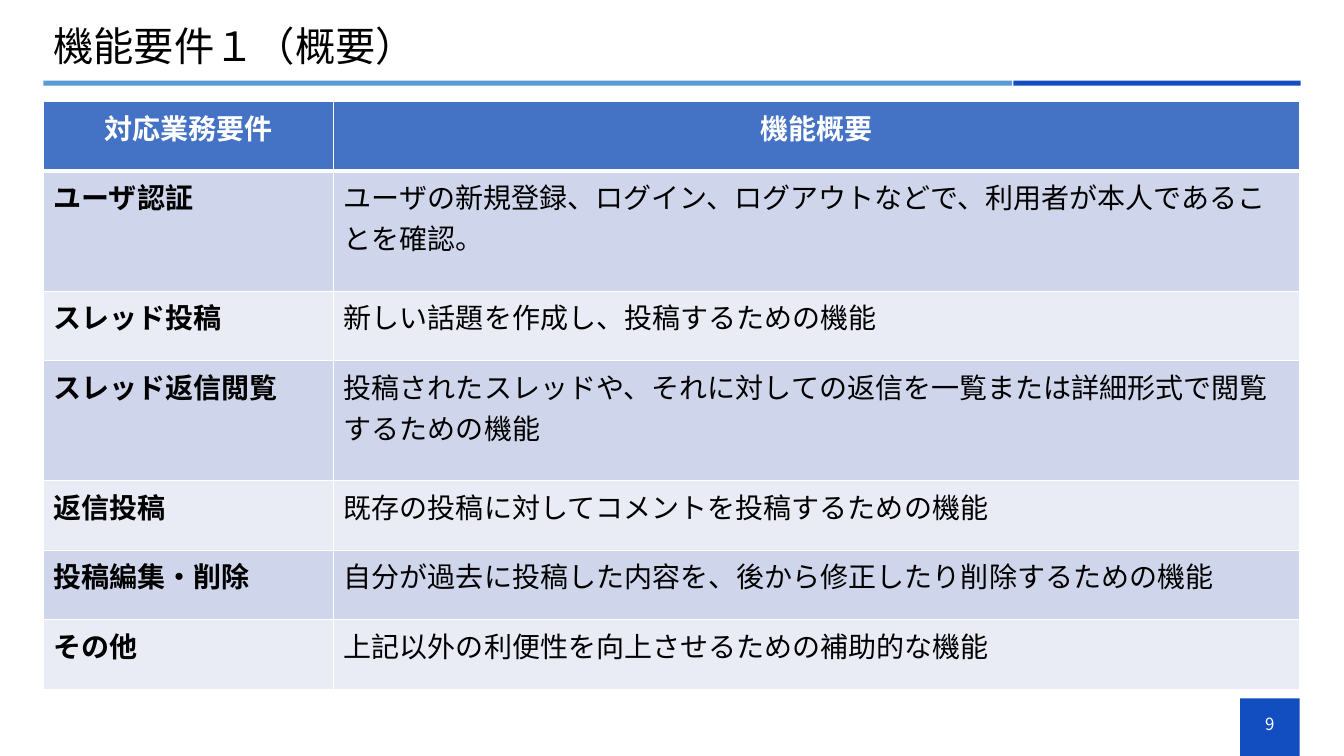
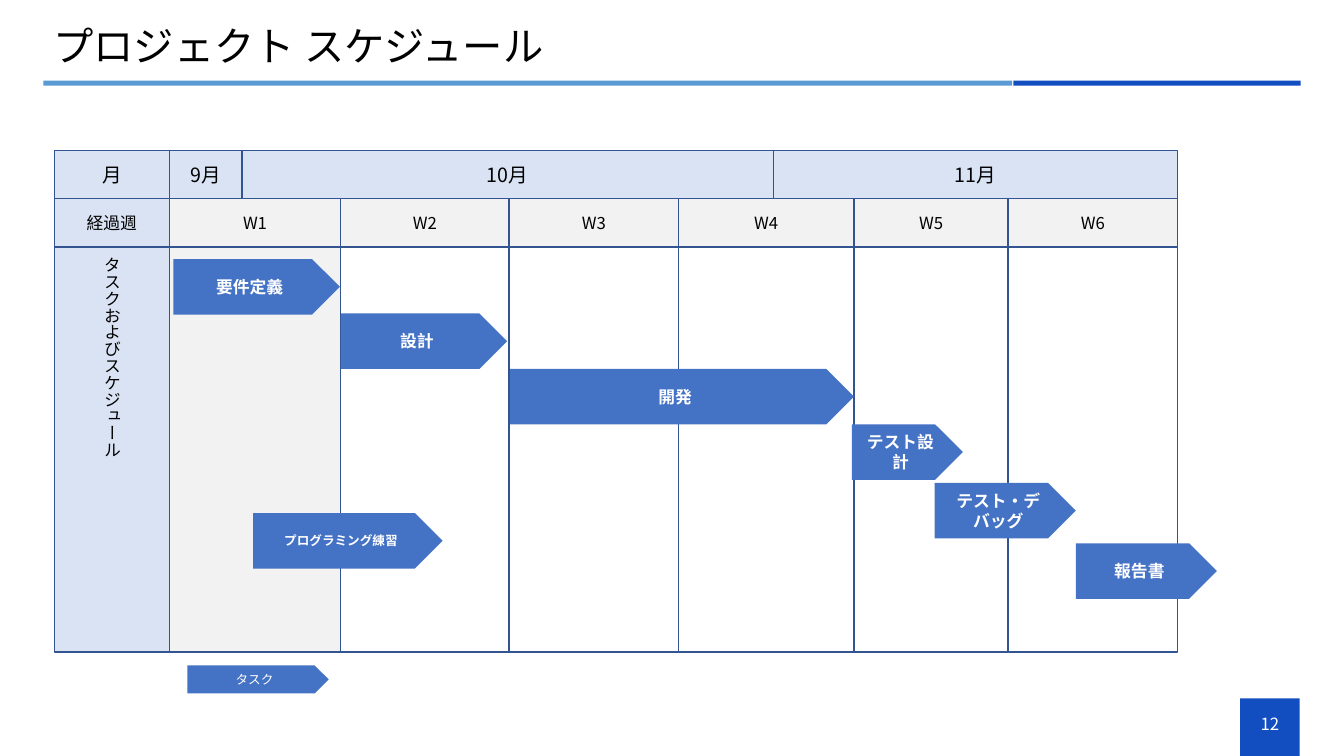
from dataclasses import dataclass
from itertools import pairwise

from lxml.etree import SubElement
from pptx import Presentation
from pptx.dml.color import RGBColor
from pptx.enum.shapes import MSO_SHAPE as Preset
from pptx.enum.text import MSO_ANCHOR as Anchor, PP_ALIGN as Align
from pptx.oxml.ns import qn
from pptx.shapes.autoshape import Shape
from pptx.slide import Slide
from pptx.table import _Cell as Cell
from pptx.text.text import TextFrame
from pptx.util import Inches, Pt

FONT = "Noto Sans CJK JP"
COLORS = {
    "black": "000000",
    "white": "FFFFFF",
    "accent": "134EC1",
    "sky": "5B9BD5",
    "blue": "4472C4",
    "outline": "325491",
    "pale": "DAE3F3",
    "gray": "F2F2F2",
    "odd_row": "CFD5EA",
    "even_row": "E9EBF5",
}
LEFT, WIDTH = 0.43, 12.46


@dataclass(frozen=True)
class Box:
    left: float
    top: float
    width: float
    height: float

    def lengths(self) -> tuple[Inches, ...]:
        return tuple(Inches(n) for n in (self.left, self.top, self.width, self.height))


@dataclass(frozen=True)
class Band:
    box: Box
    color: str


@dataclass(frozen=True)
class Requirement:
    name: str
    summary: str
    height: float = 0.69


@dataclass(frozen=True)
class Task:
    label: str
    left: float
    top: float
    width: float
    height: float = 0.55
    size: float = 12
    bold: bool = True


BANDS = [
    Band(Box(12.3, 6.93, 0.59, 0.57), "accent"),
    Band(Box(LEFT, 0.8, 9.61, 0.05), "sky"),
    Band(Box(10.05, 0.8, 2.85, 0.05), "accent"),
]

REQUIREMENTS = [
    Requirement("対応業務要件", "機能概要"),
    Requirement(
        "ユーザ認証",
        "ユーザの新規登録、ログイン、ログアウトなどで、利用者が本人であることを確認。",
        1.19,
    ),
    Requirement("スレッド投稿", "新しい話題を作成し、投稿するための機能"),
    Requirement(
        "スレッド返信閲覧",
        "投稿されたスレッドや、それに対しての返信を一覧または詳細形式で閲覧するための機能",
        1.19,
    ),
    Requirement("返信投稿", "既存の投稿に対してコメントを投稿するための機能"),
    Requirement("投稿編集・削除", "自分が過去に投稿した内容を、後から修正したり削除するための機能"),
    Requirement("その他", "上記以外の利便性を向上させるための補助的な機能"),
]

MONTHS = ["月", "9月", "10月", "11月"]
MONTH_EDGES = [0.54, 1.68, 2.4, 7.67, 11.68]
WEEKS = ["経過週", "W1", "W2", "W3", "W4", "W5", "W6"]
WEEK_EDGES = [0.54, 1.68, 3.38, 5.05, 6.73, 8.47, 10, 11.68]
MONTH_TOP, WEEK_TOP, BODY_TOP = 1.49, 1.97, 2.45
HEADER_HEIGHT, BODY_HEIGHT = 0.48, 4.02

TASKS = [
    Task("要件定義", 1.72, 2.57, 1.65),
    Task("設計", 3.38, 3.11, 1.65),
    Task("開発", 5.06, 3.66, 3.41),
    Task("テスト設計", 8.45, 4.21, 1.1),
    Task("テスト・デバッグ", 9.27, 4.79, 1.4),
    Task("報告書", 10.67, 5.39, 1.4),
    Task("プログラミング練習", 2.51, 5.09, 1.88, size=9),
    Task("タスク", 1.86, 6.6, 1.4, 0.28, size=9, bold=False),
]


def rgb(name: str) -> RGBColor:
    return RGBColor.from_string(COLORS[name])


def write_text(
    frame: TextFrame,
    text: str,
    *,
    size: float = 12,
    color: str = "black",
    bold: bool = False,
    align: Align = Align.CENTER,
    anchor: Anchor = Anchor.MIDDLE,
    spacing: float = 1.0,
) -> None:
    frame.word_wrap = True
    frame.vertical_anchor = anchor
    paragraph = frame.paragraphs[0]
    paragraph.alignment = align
    paragraph.line_spacing = spacing
    run = paragraph.add_run()
    run.text = text
    run.font.size = Pt(size)
    run.font.bold = bold
    run.font.name = FONT
    run.font.color.rgb = rgb(color)
    SubElement(run.font._element, qn("a:ea"), typeface=FONT)


def add_box(
    slide: Slide, box: Box, fill: str, line: str | None = None, preset: Preset = Preset.RECTANGLE
) -> Shape:
    shape = slide.shapes.add_shape(preset, *box.lengths())
    shape.shadow.inherit = False
    shape.fill.solid()
    shape.fill.fore_color.rgb = rgb(fill)
    if line:
        shape.line.color.rgb = rgb(line)
        shape.line.width = Pt(1)
    else:
        shape.line.fill.background()
    return shape


def add_base_slide(presentation: Presentation, title: str, number: int) -> Slide:
    slide = presentation.slides.add_slide(presentation.slide_layouts[6])
    for band in BANDS:
        add_box(slide, band.box, band.color)
    title_box = slide.shapes.add_textbox(*Box(LEFT, 0.21, WIDTH, 0.55).lengths())
    write_text(title_box.text_frame, title, size=28.8, align=Align.LEFT, spacing=0.9)
    number_box = slide.shapes.add_textbox(*Box(12.3, 6.98, 0.59, 0.4).lengths())
    write_text(number_box.text_frame, str(number), color="white")
    return slide


def set_borders(cell: Cell, bottom: float, top: float) -> None:
    properties = cell._tc.get_or_add_tcPr()
    widths = {"a:lnL": 1, "a:lnR": 1, "a:lnT": top, "a:lnB": bottom}
    for index, (tag, width) in enumerate(widths.items()):
        border = properties.makeelement(qn(tag), {"w": str(Pt(width))})
        fill = SubElement(border, qn("a:solidFill"))
        SubElement(fill, qn("a:srgbClr"), val=COLORS["white"])
        properties.insert(index, border)


def add_requirements_table(slide: Slide) -> None:
    height = sum(item.height for item in REQUIREMENTS)
    box = Box(LEFT, 1.01, WIDTH, height)
    table = slide.shapes.add_table(len(REQUIREMENTS), 2, *box.lengths()).table
    for column, width in zip(table.columns, (2.88, 9.58)):
        column.width = Inches(width)
    for index, item in enumerate(REQUIREMENTS):
        header = index == 0
        fill = "blue" if header else "odd_row" if index % 2 else "even_row"
        table.rows[index].height = Inches(item.height)
        for column, text in enumerate((item.name, item.summary)):
            cell = table.cell(index, column)
            cell.fill.solid()
            cell.fill.fore_color.rgb = rgb(fill)
            set_borders(cell, bottom=3 if header else 1, top=3 if index == 1 else 1)
            write_text(
                cell.text_frame,
                text,
                size=20,
                color="white" if header else "black",
                bold=header or column == 0,
                align=Align.CENTER if header else Align.LEFT,
                anchor=Anchor.TOP,
            )


def add_grid_row(
    slide: Slide, edges: list[float], top: float, height: float, fills: list[str]
) -> list[Shape]:
    return [
        add_box(slide, Box(left, top, right - left, height), fill, "outline")
        for (left, right), fill in zip(pairwise(edges), fills)
    ]


def add_schedule(slide: Slide) -> None:
    body_fills = ["pale", "gray"] + ["white"] * 5
    body = add_grid_row(slide, WEEK_EDGES, BODY_TOP, BODY_HEIGHT, body_fills)
    caption = body[0].text_frame
    write_text(caption, "タスクおよびスケジュール", align=Align.LEFT)
    caption._txBody.bodyPr.set("vert", "eaVert")
    week_fills = ["pale"] + ["gray"] * 6
    headers = (
        (WEEKS, WEEK_EDGES, WEEK_TOP, week_fills, 12),
        (MONTHS, MONTH_EDGES, MONTH_TOP, ["pale"] * 4, 14),
    )
    for labels, edges, top, fills, size in headers:
        cells = add_grid_row(slide, edges, top, HEADER_HEIGHT, fills)
        for cell, label in zip(cells, labels):
            write_text(cell.text_frame, label, size=size)
    for task in TASKS:
        box = Box(task.left, task.top, task.width, task.height)
        arrow = add_box(slide, box, "blue", preset=Preset.PENTAGON)
        write_text(arrow.text_frame, task.label, size=task.size, color="white", bold=task.bold)


def main() -> None:
    presentation = Presentation()
    presentation.slide_width = Inches(13.33)
    presentation.slide_height = Inches(7.5)
    add_requirements_table(add_base_slide(presentation, "機能要件１（概要）", 9))
    add_schedule(add_base_slide(presentation, "プロジェクト スケジュール", 12))
    presentation.save("out.pptx")


if __name__ == "__main__":
    main()
